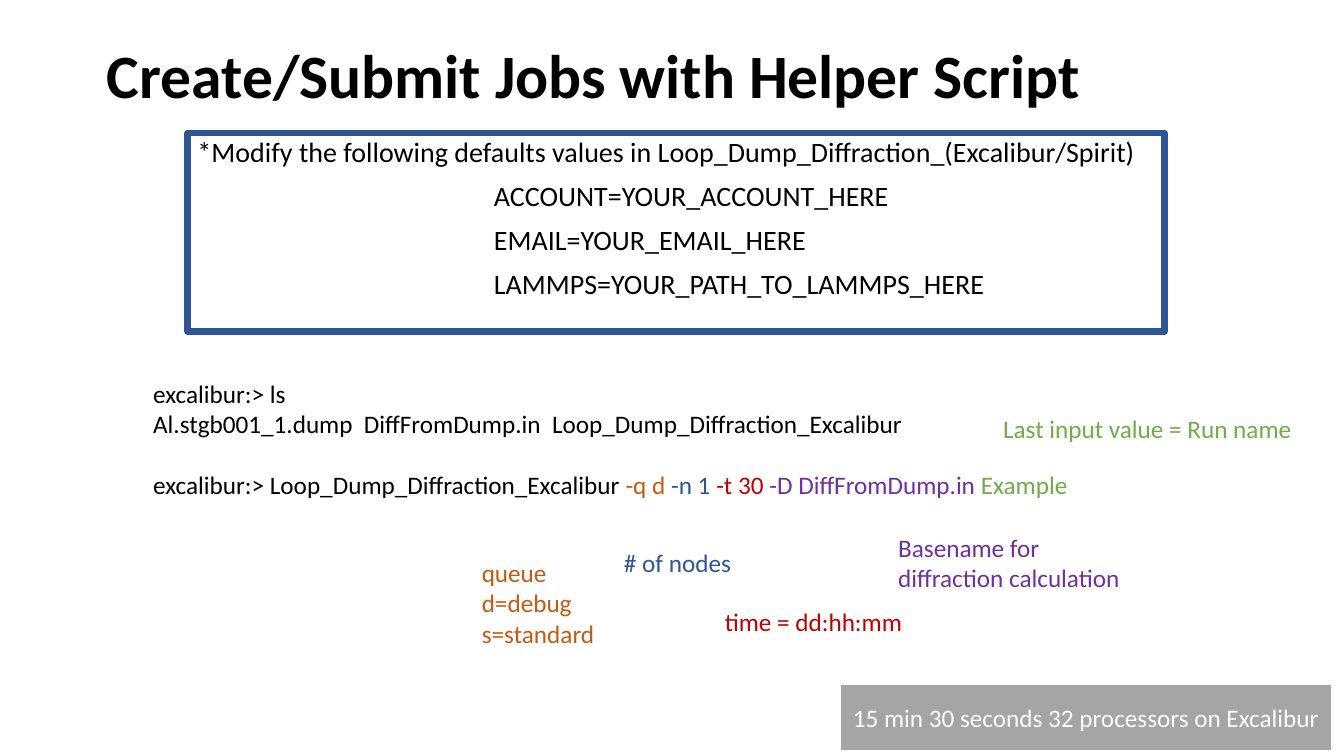
import pptx
import pptx.util
import pptx.dml.color
import pptx.enum.shapes
import pptx.enum.text

ANCHOR = pptx.enum.text.MSO_ANCHOR
ALIGN = pptx.enum.text.PP_ALIGN

TITLE = "Create/Submit Jobs with Helper Script"
INTRO = "*Modify the following defaults values in Loop_Dump_Diffraction_(Excalibur/Spirit)"
VALUES = [
    "ACCOUNT=YOUR_ACCOUNT_HERE",
    "EMAIL=YOUR_EMAIL_HERE",
    "LAMMPS=YOUR_PATH_TO_LAMMPS_HERE",
]
SHELL = [
    "excalibur:> ls",
    "Al.stgb001_1.dump  DiffFromDump.in  Loop_Dump_Diffraction_Excalibur",
    [
        ("excalibur:> Loop_Dump_Diffraction_Excalibur ", "black"),
        ("-q d ", "orange"),
        ("-n 1 ", "blue"),
        ("-t 30 ", "red"),
        ("-D DiffFromDump.in ", "purple"),
        ("Example", "green"),
    ],
]
NOTES = [
    (["queue", "d=debug", "s=standard"], "orange", (468, 548, 141, 131)),
    (["# of nodes"], "blue", (609, 538, 175, 71)),
    (["time = dd:hh:mm"], "red", (709, 597, 216, 40)),
    (["Basename for diffraction calculation"], "purple", (881, 523, 258, 71)),
    (["Last input value = Run name"], "green", (985, 405, 335, 40)),
]
TIMING = "15 min 30 seconds 32 processors on Excalibur"

THEME = {
    "font": "Calibri",
    "size": {"title": 44, "body": 20, "text": 18},
    "color": {
        "black": "000000", "white": "FFFFFF", "gray": "A5A5A5",
        "orange": "C55A11", "blue": "2F5597", "red": "C00000",
        "purple": "7030A0", "green": "70AD47",
    },
}
SCALE = 9144


def px(n):
    return pptx.util.Emu(n * SCALE)


def tint(name):
    return pptx.dml.color.RGBColor.from_string(THEME["color"][name])


def place(shape, area):
    shape.left, shape.top, shape.width, shape.height = map(px, area)


def write(shape, lines, size="text", color="black", bold=False, align=ALIGN.LEFT,
          anchor=ANCHOR.TOP, spacing=1.0, before=None, indent=None):
    frame = shape.text_frame
    frame.word_wrap = True
    frame.auto_size = pptx.enum.text.MSO_AUTO_SIZE.NONE
    frame.vertical_anchor = anchor
    for i, line in enumerate(lines):
        para = frame.add_paragraph() if i else frame.paragraphs[0]
        para.alignment = align
        para.line_spacing = spacing
        para.space_before = pptx.util.Pt((before or {}).get(i, 0))
        if i and indent:
            para._p.get_or_add_pPr().set("marL", str(px(indent)))
        for text, name in [(line, color)] if isinstance(line, str) else line:
            run = para.add_run()
            run.text = text
            run.font.name = THEME["font"]
            run.font.size = pptx.util.Pt(THEME["size"][size])
            run.font.bold = bold
            run.font.color.rgb = tint(name)


def panel(slide, area, line, width, fill=None):
    box = slide.shapes.add_shape(
        pptx.enum.shapes.MSO_SHAPE.RECTANGLE, *map(px, area))
    box.shadow.inherit = False
    if fill:
        box.fill.solid()
        box.fill.fore_color.rgb = tint(fill)
    else:
        box.fill.background()
    box.line.color.rgb = tint(line)
    box.line.width = pptx.util.Pt(width)
    return box


def label(slide, area, lines, **style):
    write(slide.shapes.add_textbox(*map(px, area)), lines, **style)


def main():
    deck = pptx.Presentation()
    deck.slide_width, deck.slide_height = px(1333), px(750)
    slide = deck.slides.add_slide(deck.slide_layouts[5])

    title = slide.shapes.title
    place(title, (96, 34, 1150, 87))
    write(title, [TITLE], size="title", bold=True, anchor=ANCHOR.MIDDLE, spacing=0.9)

    body = panel(slide, (186, 132, 969, 197), "blue", 4.5)
    gaps = {i: 10 for i in range(1, len(VALUES) + 1)}
    write(body, [INTRO] + VALUES, size="body", spacing=0.9, before=gaps, indent=294)

    badge = panel(slide, (833, 679, 488, 66), "white", 1.5, fill="gray")
    write(badge, [TIMING], color="white", align=ALIGN.CENTER, anchor=ANCHOR.MIDDLE)

    label(slide, (142, 370, 1032, 192), SHELL, before={2: 22})
    for lines, color, area in NOTES:
        label(slide, area, lines, color=color)

    deck.save("out.pptx")


if __name__ == "__main__":
    main()
